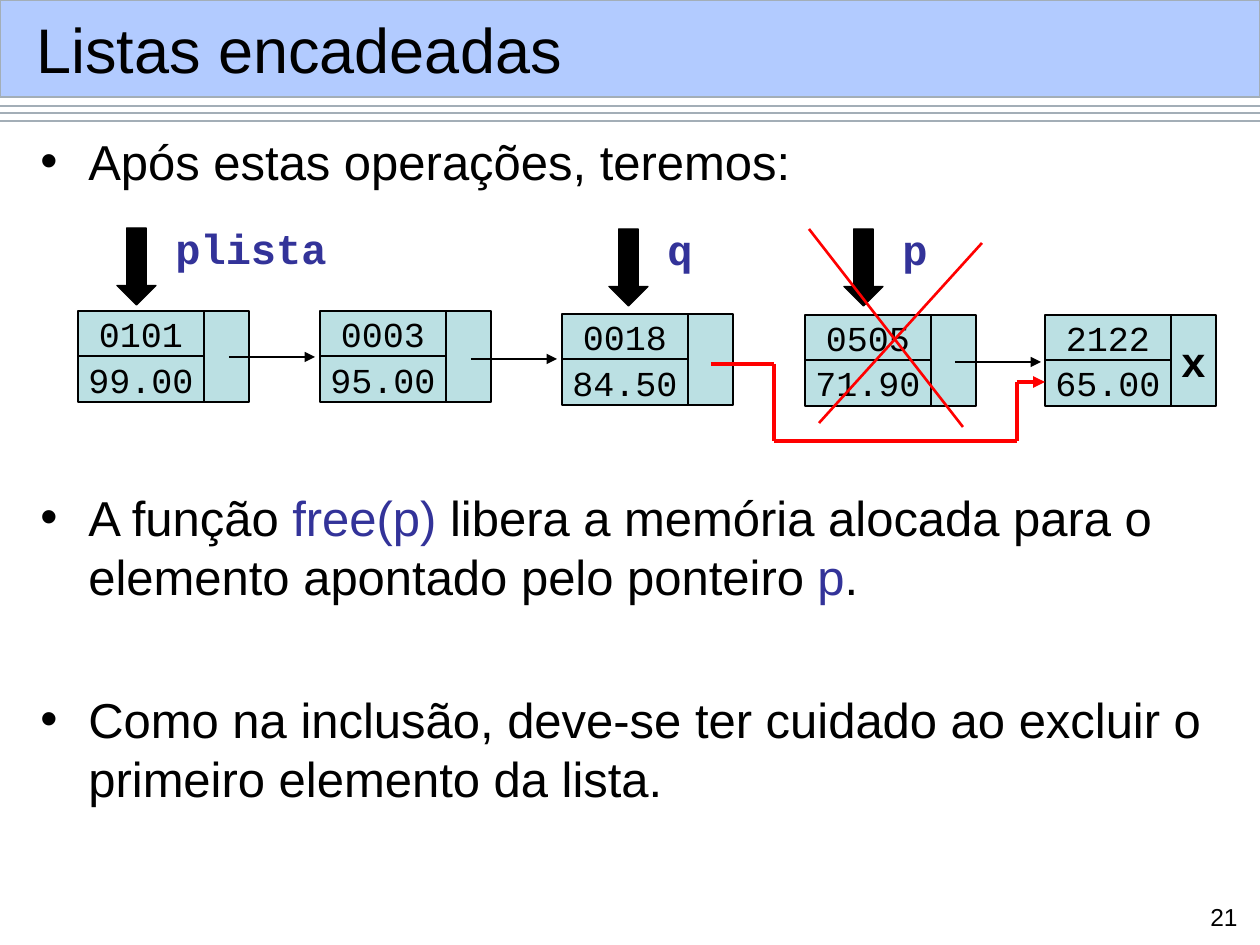
from lxml import etree
from pptx import Presentation
from pptx.dml.color import RGBColor
from pptx.enum.shapes import MSO_CONNECTOR, MSO_SHAPE
from pptx.enum.text import MSO_ANCHOR, PP_ALIGN
from pptx.oxml.ns import qn
from pptx.util import Pt

RECT, ARROW = MSO_SHAPE.RECTANGLE, MSO_SHAPE.DOWN_ARROW
LINE = MSO_CONNECTOR.STRAIGHT
MID, TOP = MSO_ANCHOR.MIDDLE, MSO_ANCHOR.TOP
LEFT, MIDST, RIGHT = PP_ALIGN.LEFT, PP_ALIGN.CENTER, PP_ALIGN.RIGHT
BLACK = RGBColor(0x00, 0x00, 0x00)
BLUE = RGBColor(0x33, 0x33, 0x99)
RED = RGBColor(0xFF, 0x00, 0x00)
GREY = RGBColor(0xA3, 0xAE, 0xB7)
TEAL = RGBColor(0xBB, 0xE0, 0xE3)
BAND = RGBColor(0x66, 0x99, 0xFF)
SANS, MONO = "Arial", "Courier New"
PX = 914400 / 126

deck = Presentation()
deck.slide_width, deck.slide_height = round(1260 * PX), round(945 * PX)
slide = deck.slides.add_slide(deck.slide_layouts[6])
shapes = slide.shapes


def draw(kind, box, fill=None, edge=BLACK, text="", size=20, font=MONO,
         ink=BLACK, bold=False, align=MIDST, anchor=MID, wrap=False):
    """Add a preset shape, or a text box when kind is None."""
    place = [round(v * PX) for v in box]
    if kind is None:
        item = shapes.add_textbox(*place)
    else:
        item = shapes.add_shape(kind, *place)
        item.shadow.inherit = False
        item.fill.solid()
        item.fill.fore_color.rgb = fill
        item.line.color.rgb = edge
        item.line.width = Pt(0.75)
    frame = item.text_frame
    frame.word_wrap = wrap
    frame.vertical_anchor = anchor
    if text:
        para = frame.paragraphs[0]
        para.alignment = align
        run = para.add_run()
        run.text = text
        run.font.size, run.font.name = Pt(size), font
        run.font.color.rgb, run.font.bold = ink, bold
    return item


def link(x1, y1, x2, y2, ink=BLACK, width=1.5, head=False):
    """Add a straight line, with an arrowhead at its end if asked."""
    wire = shapes.add_connector(LINE, *[round(v * PX) for v in (x1, y1, x2, y2)])
    wire.line.color.rgb, wire.line.width = ink, Pt(width)
    if head:
        etree.SubElement(wire.line._get_or_add_ln(), qn("a:tailEnd"), type="triangle")
    etree.SubElement(wire._element.spPr, qn("a:effectLst"))


# Title band and rules
for y in (106, 113, 121):
    link(0, y, 1260, y, GREY, 0.75)
band = draw(RECT, (0, 0, 1260, 97), BAND, GREY)
tint = band.fill._xPr.find(qn("a:solidFill"))[0]
etree.SubElement(tint, qn("a:alpha"), val="50000")
draw(None, (24, 11, 1215, 74), text="Listas encadeadas", size=36, font=SANS,
     align=LEFT, wrap=True)

# Bulleted text: space before, then runs
BODY = [
    (7, [("Após estas operações, teremos:", BLACK)]),
    (170, [("A função ", BLACK), ("free(p)", BLUE),
           (" libera a memória alocada para o elemento apontado pelo ponteiro ", BLACK),
           ("p", BLUE), (".", BLACK)]),
    (48, [("Como na inclusão, deve-se ter cuidado ao excluir o primeiro "
           "elemento da lista.", BLACK)]),
]
frame = draw(None, (28, 125, 1220, 786), anchor=TOP, wrap=True).text_frame
for i, (gap, runs) in enumerate(BODY):
    para = frame.add_paragraph() if i else frame.paragraphs[0]
    para.space_before = Pt(gap)
    props = para._p.get_or_add_pPr()
    props.set("marL", str(round(48 * PX)))
    props.set("indent", str(round(-48 * PX)))
    etree.SubElement(props, qn("a:buFont"), typeface=SANS)
    etree.SubElement(props, qn("a:buChar"), char="•")
    for words, ink in runs:
        run = para.add_run()
        run.text = words
        run.font.size, run.font.name = Pt(28), SANS
        run.font.color.rgb = ink

# List nodes: left, top, key, value, mark in the pointer cell
NODES = [
    (78, 311, "0101", "99.00", ""),
    (320, 311, "0003", "95.00", ""),
    (562, 314, "0018", "84.50", ""),
    (805, 315, "0505", "71.90", ""),
    (1045, 315, "2122", "65.00", "x"),
]
for x, y, key, value, mark in NODES:
    draw(RECT, (x, y, 126, 45), TEAL, text=key)
    draw(RECT, (x, y + 45, 126, 46), TEAL, text=value)
    draw(RECT, (x + 126, y, 45, 91), TEAL, text=mark, size=24, bold=True)

# Links between nodes
for x, y in ((229, 357), (471, 359), (955, 362)):
    link(x, y, x + 86, y, head=True)

# Pointers
for x, y, name, wide in ((117, 228, "plista", 176), (609, 229, "q", 50), (844, 229, "p", 50)):
    draw(ARROW, (x, y, 39, 77), BLACK)
    draw(None, (x + 46, y - 12, wide, 63), text=name, size=24, ink=BLUE,
         bold=True, align=LEFT, anchor=TOP)

# New link around the removed node
ROUTE = [(711, 364), (774, 364), (774, 441), (1017, 441), (1017, 382), (1045, 382)]
for start, end in zip(ROUTE, ROUTE[1:]):
    link(*start, *end, RED, 2.25, end == ROUTE[-1])

# Cross over the removed node
link(819, 423, 982, 243, RED)
link(809, 229, 963, 427, RED)

# Page number
draw(None, (1193, 896, 57, 39), text="21", size=14, font=SANS, align=RIGHT,
     anchor=TOP, wrap=True)

deck.save("out.pptx")
